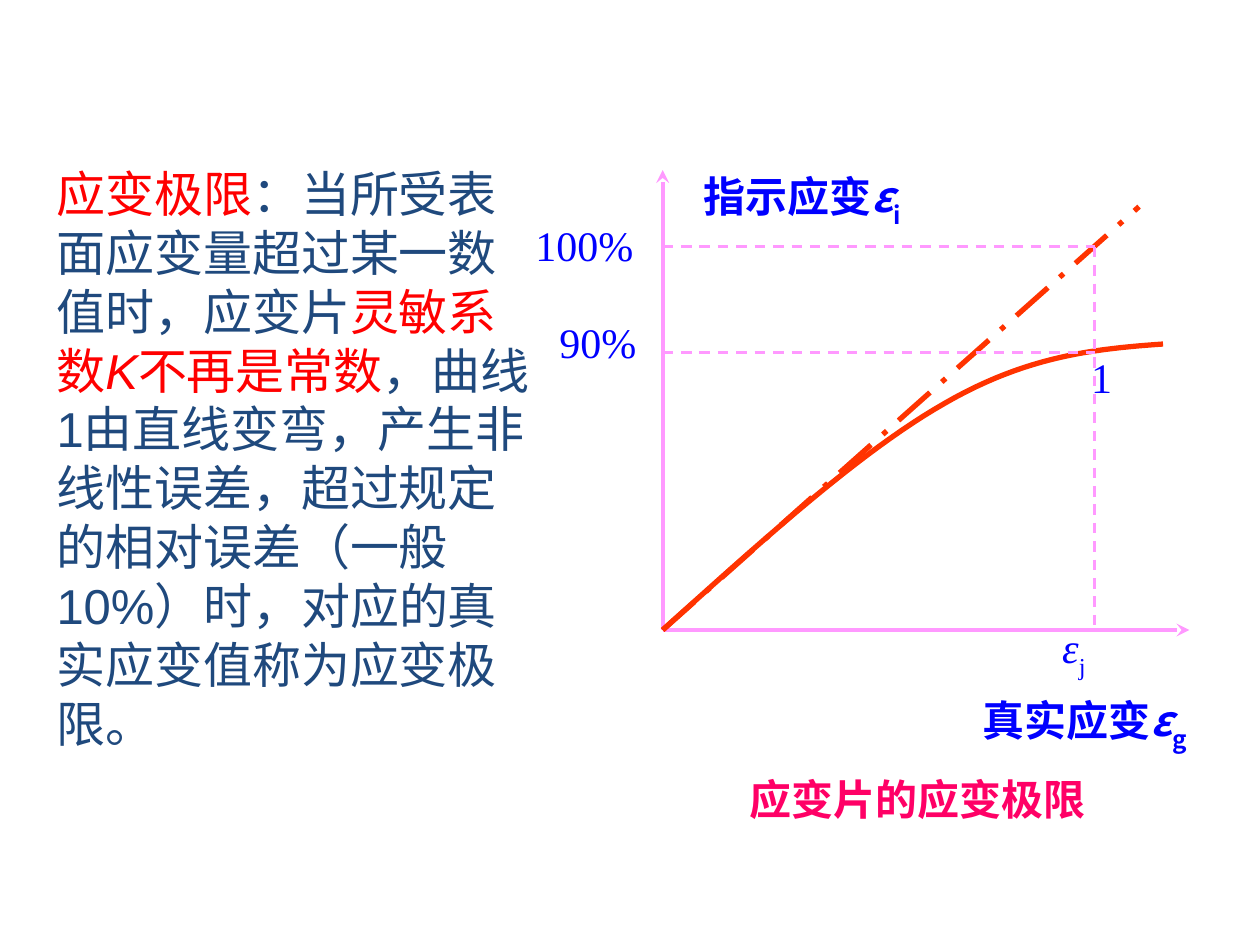
from dataclasses import dataclass

from lxml import etree
from pptx import Presentation
from pptx.dml.color import RGBColor
from pptx.enum.dml import MSO_LINE
from pptx.enum.shapes import MSO_CONNECTOR
from pptx.enum.text import PP_ALIGN
from pptx.oxml.ns import qn
from pptx.util import Pt

STRAIGHT = MSO_CONNECTOR.STRAIGHT
DASH, DOT = MSO_LINE.DASH, MSO_LINE.LONG_DASH_DOT
LEFT, MID, JUST = PP_ALIGN.LEFT, PP_ALIGN.CENTER, PP_ALIGN.JUSTIFY


@dataclass(frozen=True)
class Theme:
    ink: str = "1F497D"
    key: str = "FF0000"
    label: str = "0000FF"
    title: str = "FF0066"
    axis: str = "FF99FF"
    curve: str = "FF3300"
    body: int = 28
    small: int = 24
    sans: str = "Arial"
    serif: str = "Times New Roman"
    han: str = "Noto Sans CJK SC"


class Board:
    def __init__(self, slide, theme):
        self.slide, self.theme = slide, theme

    def text(self, box, runs, font, size, color, bold=False, align=JUST, pad=(0, 0)):
        """Each run is (words, options): color, slant, base."""
        frame = self.slide.shapes.add_textbox(*map(Pt, box)).text_frame
        frame.word_wrap = True
        frame.margin_left = frame.margin_right = Pt(pad[0])
        frame.margin_top = frame.margin_bottom = Pt(pad[1])
        para = frame.paragraphs[0]
        para.alignment = align
        para.font.name, para.font.size, para.font.bold = font, Pt(size), bold
        for words, opts in runs:
            run = para.add_run()
            run.text = words
            run.font.color.rgb = RGBColor.from_string(opts.get("color", color))
            run.font.italic = opts.get("slant", False)
            props = run.font._element
            if "base" in opts:
                props.set("baseline", str(opts["base"] * 1000))
            etree.SubElement(props, qn("a:ea")).set("typeface", self.theme.han)

    def stroke(self, line, color, width, dash=None):
        line.color.rgb = RGBColor.from_string(color)
        line.width = Pt(width)
        if dash:
            line.dash_style = dash

    def line(self, start, end, color, width, dash=None, arrow=False):
        link = self.slide.shapes.add_connector(STRAIGHT, *map(Pt, (*start, *end)))
        self.stroke(link.line, color, width, dash)
        if arrow:
            tail = etree.SubElement(link.line._get_or_add_ln(), qn("a:tailEnd"))
            tail.set("type", "stealth")
        etree.SubElement(link._element.spPr, qn("a:effectLst"))

    def curve(self, start, parts, color, width, steps=24):
        """Draw joined cubic arcs, each given by two handles and an end."""
        dots, a = [], start
        for b, c, d in parts:
            for n in range(1, steps + 1):
                t = n / steps
                u = 1 - t
                mix = (u**3, 3 * u * u * t, 3 * u * t * t, t**3)
                dots.append(tuple(Pt(sum(m * v for m, v in zip(mix, axis)))
                                  for axis in zip(a, b, c, d)))
            a = d
        pen = self.slide.shapes.build_freeform(*map(Pt, start), scale=1.0)
        pen.add_line_segments(dots, close=False)
        shape = pen.convert_to_shape()
        shape.shadow.inherit = False
        shape.fill.background()
        self.stroke(shape.line, color, width)


def main():
    deck = Presentation()
    deck.slide_width, deck.slide_height = Pt(720), Pt(540)
    look = Theme()
    board = Board(deck.slides.add_slide(deck.slide_layouts[6]), look)

    # Definition
    red = {"color": look.key}
    board.text((25.2, 90, 289.4, 343.4), [
        ("应变极限", red),
        ("：当所受表面应变量超过某一数值时，应变片", {}),
        ("灵敏系数", red),
        ("K", {"color": look.key, "slant": True}),
        ("不再是常数", red),
        ("，曲线1由直线变弯，产生非线性误差，超过规定的相对误差"
         "（一般10%）时，对应的真实应变值称为应变极限。", {}),
    ], look.sans, look.body, look.ink, align=LEFT, pad=(7.2, 3.6))

    # Axes
    left, base = 378.7, 360
    root = (left, base)
    for end in ((left, 97.2), (679.7, base)):
        board.line(root, end, look.axis, 2.5, arrow=True)

    # Real and ideal response
    board.curve(root, [
        ((435.6, 308.9), (491.8, 257.8), (540, 230.4)),
        ((587.5, 203), (626.4, 199.4), (664.6, 196.6)),
    ], look.curve, 3)
    board.line(root, (650.9, 118.1), look.curve, 3, DOT)

    # Guides at the strain limit
    limit, full, part = 625.5, 141, 201.6
    for start, end in (((limit, full), (limit, base)),
                       ((left, part), (limit, part)),
                       ((left, full), (limit, full))):
        board.line(start, end, look.axis, 1.5, DASH)

    # Axis names
    for box, name, sub in (((561.6, 396.7, 158.4, 47.5), "真实应变", "g"),
                           ((401.8, 97.2, 165.6, 44.6), "指示应变", "i")):
        board.text(box, [(name, {}), ("ε", {"slant": True}), (sub, {"base": -30})],
                   look.han, look.small, look.label, bold=True)

    # Values and curve number
    for box, runs in (
            ((607, 355, 88.6, 47.5), [("ε", {"slant": True}), ("j", {"base": -30})]),
            ((306, 125.3, 91.4, 56.2), [("100%", {})]),
            ((319.7, 180.7, 91.4, 56.2), [("90%", {})]),
            ((623.5, 200.9, 53.3, 49), [("1", {})])):
        board.text(box, runs, look.serif, look.small, look.label)

    # Caption
    board.text((352.8, 442.1, 342.7, 48.2), [("应变片的应变极限", {})],
               look.han, look.small, look.title, bold=True, align=MID)

    deck.save("out.pptx")


if __name__ == "__main__":
    main()
